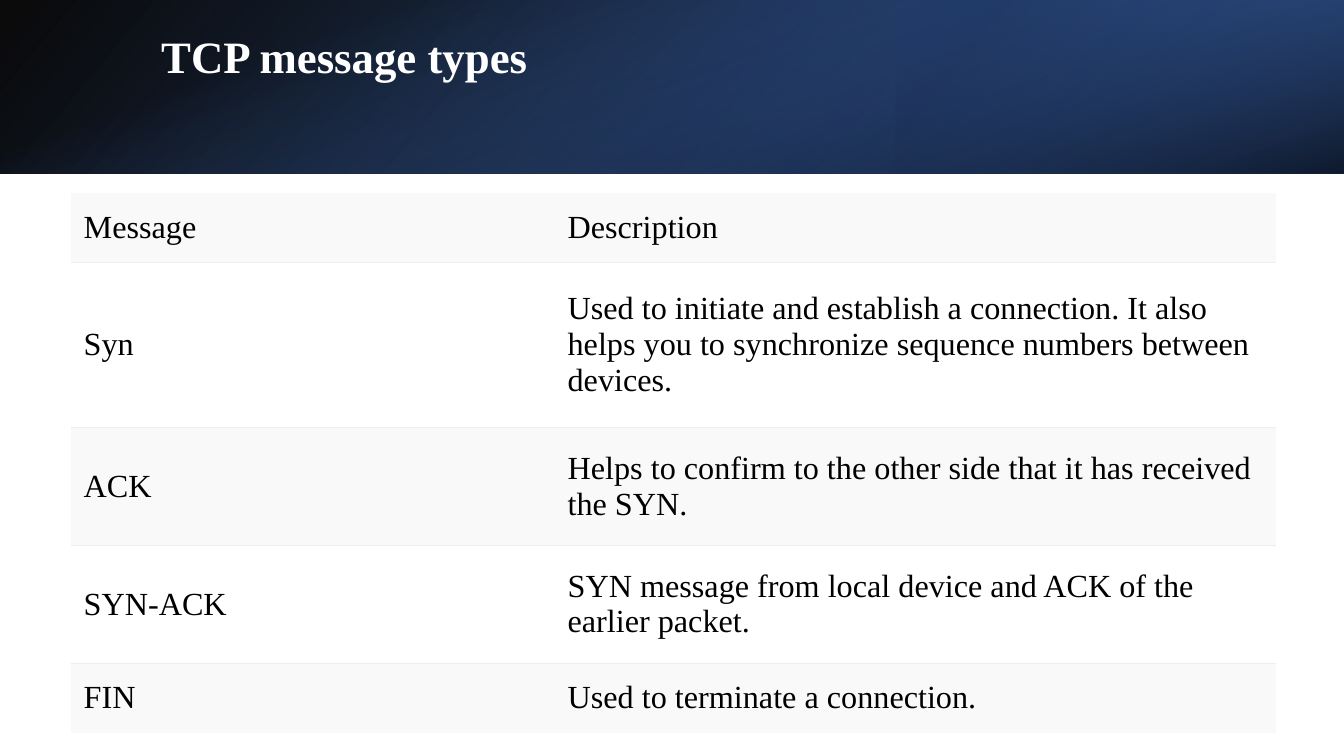
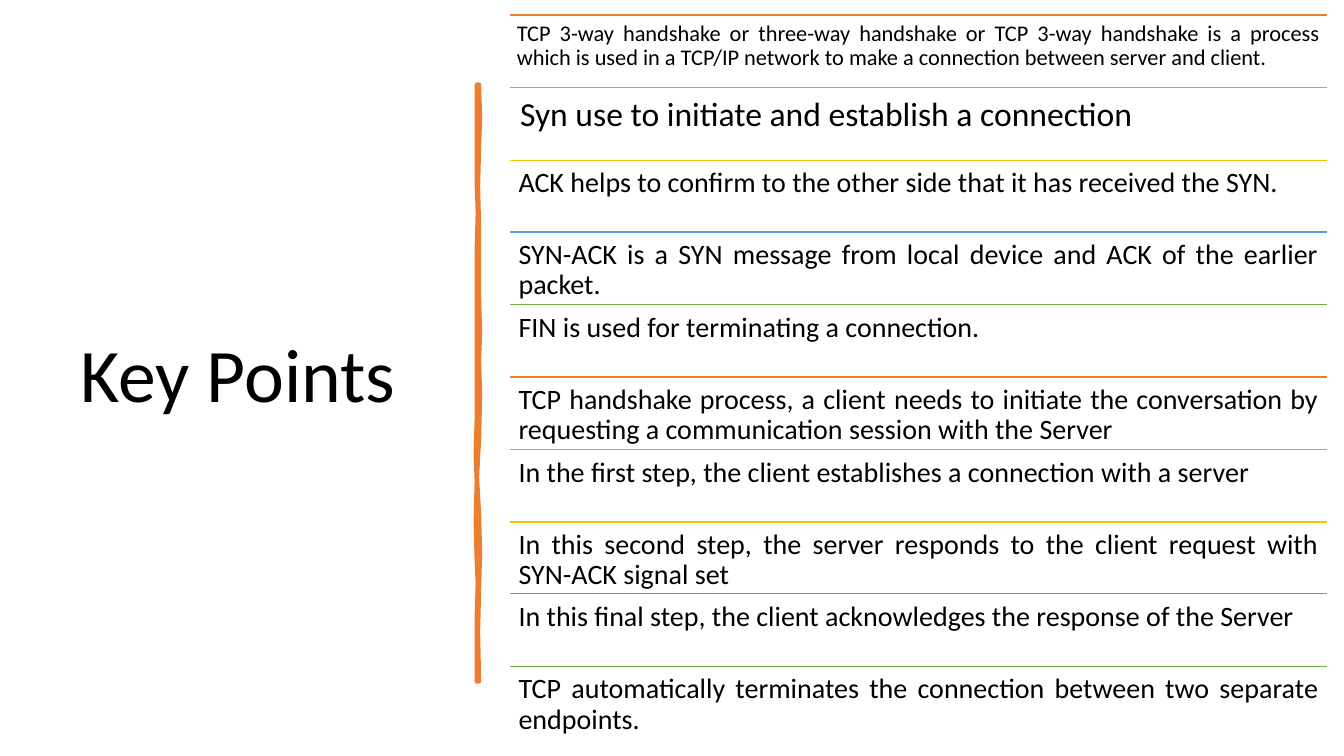
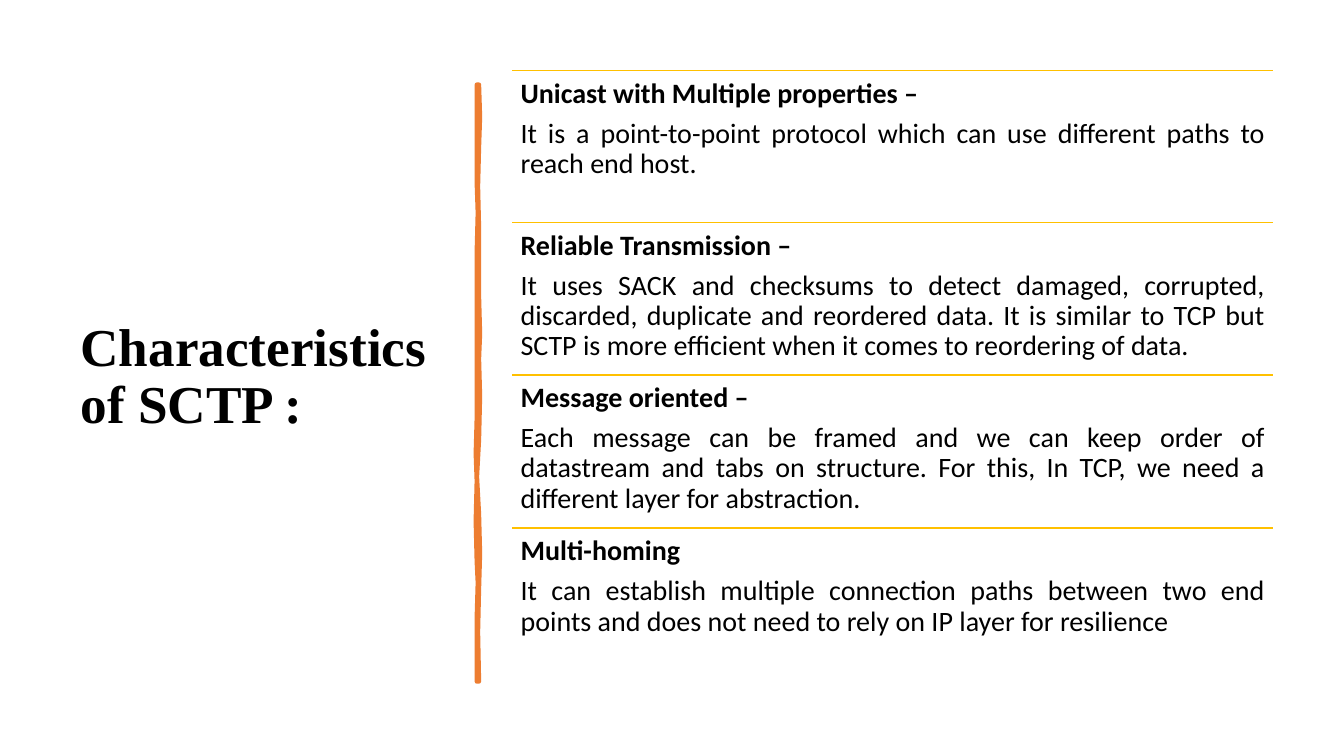
from itertools import cycle

from pptx import Presentation
from pptx.dml.color import RGBColor
from pptx.enum.shapes import MSO_CONNECTOR, MSO_SHAPE
from pptx.enum.text import MSO_ANCHOR, PP_ALIGN
from pptx.oxml.ns import qn
from pptx.oxml.xmlchemy import OxmlElement
from pptx.util import Inches, Pt

RECTANGLE = MSO_SHAPE.RECTANGLE
STRAIGHT = MSO_CONNECTOR.STRAIGHT
TOP, MIDDLE = MSO_ANCHOR.TOP, MSO_ANCHOR.MIDDLE
LEFT, JUSTIFY = PP_ALIGN.LEFT, PP_ALIGN.JUSTIFY

# Shared look
SLIDE_W, SLIDE_H = 13.33, 7.5
BAND_H = 1.72
SERIF, SANS = "Times New Roman", "Calibri"
BLACK = RGBColor(0x00, 0x00, 0x00)
WHITE = RGBColor(0xFF, 0xFF, 0xFF)
NAVY = RGBColor(0x20, 0x38, 0x64)
DEEP_BLUE = RGBColor(0x2F, 0x55, 0x97)
BLUE = RGBColor(0x44, 0x72, 0xC4)
ORANGE = RGBColor(0xED, 0x7D, 0x31)
GREY = RGBColor(0xA5, 0xA5, 0xA5)
GOLD = RGBColor(0xFF, 0xC0, 0x00)
SKY = RGBColor(0x5B, 0x9B, 0xD5)
GREEN = RGBColor(0x70, 0xAD, 0x47)
STRIPE = RGBColor(0xF9, 0xF9, 0xF9)
RULE = RGBColor(0xEE, 0xEE, 0xEE)

# Brush stroke outline: down the right edge, then up the left edge
STROKE_OUTLINE = [
    (4.75, 0.84), (4.76, 1.16), (4.75, 1.46), (4.74, 1.85), (4.75, 2.26),
    (4.75, 2.6), (4.75, 2.94), (4.76, 3.31), (4.75, 3.56), (4.76, 3.93),
    (4.75, 4.36), (4.73, 4.73), (4.75, 5.1), (4.76, 5.49), (4.75, 5.84),
    (4.74, 6.27), (4.75, 6.76),
    (4.73, 6.76), (4.73, 6.45), (4.73, 6.13), (4.74, 5.78), (4.73, 5.57),
    (4.72, 5.17), (4.73, 4.77), (4.72, 4.5), (4.73, 4.15), (4.73, 3.78),
    (4.73, 3.35), (4.73, 2.9), (4.73, 2.5), (4.74, 2.11), (4.73, 1.81),
    (4.73, 1.33), (4.73, 0.84),
]

# Content
MESSAGE_TYPES = [
    ("Message", "Description"),
    ("Syn", "Used to initiate and establish a connection. It also helps you to "
            "synchronize sequence numbers between devices."),
    ("ACK", "Helps to confirm to the other side that it has received the SYN."),
    ("SYN-ACK", "SYN message from local device and ACK of the earlier packet."),
    ("FIN", "Used to terminate a connection."),
]
KEY_POINTS = [
    ("TCP 3-way handshake or three-way handshake or TCP 3-way handshake is a process "
     "which is used in a TCP/IP network to make a connection between server and client.", 16),
    ("Syn use to initiate and establish a connection", 24),
    ("ACK helps to confirm to the other side that it has received the SYN.", 20),
    ("SYN-ACK is a SYN message from local device and ACK of the earlier packet.", 20),
    ("FIN is used for terminating a connection.", 20),
    ("TCP handshake process, a client needs to initiate the conversation by requesting "
     "a communication session with the Server", 20),
    ("In the first step, the client establishes a connection with a server", 20),
    ("In this second step, the server responds to the client request with "
     "SYN-ACK signal set", 20),
    ("In this final step, the client acknowledges the response of the Server", 20),
    ("TCP automatically terminates the connection between two separate endpoints.", 20),
]
CHARACTERISTICS = [
    ("Unicast with Multiple properties –",
     "It is a point-to-point protocol which can use different paths to reach end host."),
    ("Reliable Transmission –",
     "It uses SACK and checksums to detect damaged, corrupted, discarded, duplicate and "
     "reordered data. It is similar to TCP but SCTP is more efficient when it comes to "
     "reordering of data."),
    ("Message oriented –",
     "Each message can be framed and we can keep order of datastream and tabs on "
     "structure. For this, In TCP, we need a different layer for abstraction."),
    ("Multi-homing",
     "It can establish multiple connection paths between two end points and does not "
     "need to rely on IP layer for resilience"),
]


def inches(*lengths):
    return [Inches(length) for length in lengths]


def add_run(paragraph, text, size, font, color=BLACK, bold=False):
    run = paragraph.add_run()
    run.text = text
    run.font.size = Pt(size)
    run.font.name = font
    run.font.bold = bold
    run.font.color.rgb = color


def add_text(slide, box, lines, size, font, color=BLACK, anchor=TOP, align=LEFT,
             inset=0.1, space_after=0):
    """Write (text, bold) lines, one paragraph each."""
    frame = slide.shapes.add_textbox(*inches(*box)).text_frame
    frame.word_wrap = True
    frame.vertical_anchor = anchor
    frame.margin_left = frame.margin_right = Inches(inset)
    frame.margin_top = frame.margin_bottom = Inches(inset)
    for index, (text, bold) in enumerate(lines):
        paragraph = frame.paragraphs[0] if index == 0 else frame.add_paragraph()
        paragraph.alignment = align
        paragraph.line_spacing = 0.9
        paragraph.space_after = Pt(space_after)
        add_run(paragraph, text, size, font, color, bold)


def add_gradient(slide, box, stops, angle, rotation=0, flipped=False):
    """Stops are (position, colour, opacity), in percent; angle is clockwise."""
    panel = slide.shapes.add_shape(RECTANGLE, *inches(*box))
    panel.shadow.inherit = False
    panel.line.fill.background()
    panel.rotation = rotation
    if flipped:
        panel.element.spPr.find(qn("a:xfrm")).set("flipH", "1")
    panel.fill.gradient()
    panel.fill.gradient_angle = 360 - angle
    for stop, (position, color, _) in zip(panel.fill.gradient_stops, stops):
        stop.position = position / 100
        stop.color.rgb = color
    colors = panel.element.spPr.iter(qn("a:srgbClr"))
    for color_xml, (_, _, opacity) in zip(list(colors), stops):
        alpha = OxmlElement("a:alpha")
        alpha.set("val", str(opacity * 1000))
        color_xml.append(alpha)


def add_title_band(slide, title):
    add_gradient(slide, (0, 0, SLIDE_W, BAND_H),
                 [(0, BLACK, 96), (100, DEEP_BLUE, 100)], 140, flipped=True)
    add_gradient(slide, (SLIDE_W * 2 / 3, 0, SLIDE_W / 3, BAND_H),
                 [(19, NAVY, 68), (100, BLUE, 79)], 320, rotation=180, flipped=True)
    turn = (SLIDE_W - BAND_H) / 2
    add_gradient(slide, (turn, -turn, BAND_H, SLIDE_W),
                 [(23, BLUE, 0), (99, BLACK, 74)], 340, rotation=90)
    add_text(slide, (1.5, 0.25, 10.98, 0.96), [(title, True)], 32, SERIF, WHITE)


def add_cell_borders(cell, ruled_sides):
    properties = cell._tc.get_or_add_tcPr()
    for side in "LRTB":
        border = OxmlElement(f"a:ln{side}")
        if side in ruled_sides:
            border.set("w", str(Pt(0.6)))
            solid, color = OxmlElement("a:solidFill"), OxmlElement("a:srgbClr")
            color.set("val", str(RULE))
            solid.append(color)
            border.append(solid)
        else:
            border.append(OxmlElement("a:noFill"))
        properties.append(border)


def add_message_table(slide, rows, left, top, widths, heights):
    table = slide.shapes.add_table(
        len(rows), len(widths), *inches(left, top, sum(widths), sum(heights))).table
    table.first_row = table.horz_banding = False
    for column, width in zip(table.columns, widths):
        column.width = Inches(width)
    for r, (texts, height) in enumerate(zip(rows, heights)):
        table.rows[r].height = Inches(height)
        # Rules run between rows only
        ruled_sides = ("T" if r > 0 else "") + ("B" if r < len(rows) - 1 else "")
        for c, text in enumerate(texts):
            cell = table.cell(r, c)
            add_cell_borders(cell, ruled_sides)
            if r % 2 == 0:
                cell.fill.solid()
                cell.fill.fore_color.rgb = STRIPE
            else:
                cell.fill.background()
            cell.vertical_anchor = MIDDLE
            cell.margin_left = cell.margin_right = Inches(0.13)
            cell.margin_top = cell.margin_bottom = Inches(0.06)
            add_run(cell.text_frame.paragraphs[0], text, 23, SERIF)


def add_side_title(slide, title, size, font, bold=False):
    add_text(slide, (0.7, 0.69, 3.74, 6.11), [(title, bold)], size, font, anchor=MIDDLE)
    start, *others = [inches(*point) for point in STROKE_OUTLINE]
    builder = slide.shapes.build_freeform(*start)
    builder.add_line_segments(others, close=True)
    stroke = builder.convert_to_shape()
    stroke.shadow.inherit = False
    stroke.fill.solid()
    stroke.fill.fore_color.rgb = ORANGE
    stroke.line.color.rgb = ORANGE
    stroke.line.width = Pt(3.25)
    stroke.line._get_or_add_ln().append(OxmlElement("a:round"))


def add_rule(slide, left, top, width, color):
    rule = slide.shapes.add_connector(STRAIGHT, *inches(left, top, left + width, top))
    rule.line.color.rgb = color
    rule.line.width = Pt(1)
    rule._element.spPr.append(OxmlElement("a:effectLst"))


def add_ruled_list(slide, area, items, colors):
    """Stack (lines, size) items in equal rows, each under a coloured rule."""
    left, top, width, height = area
    pitch = height / len(items)
    for row, ((lines, size), color) in enumerate(zip(items, cycle(colors))):
        y = round(top + row * pitch, 2)
        add_rule(slide, left, y, width, color)
        add_text(slide, (left, y, width, pitch), lines, size, SANS, align=JUSTIFY,
                 inset=size / 240, space_after=0.35 * size)


def main():
    deck = Presentation()
    deck.slide_width, deck.slide_height = inches(SLIDE_W, SLIDE_H)
    blank = deck.slide_layouts[6]

    # Message types
    slide = deck.slides.add_slide(blank)
    add_title_band(slide, "TCP message types")
    add_message_table(slide, MESSAGE_TYPES, 0.7, 1.91,
                      [4.8, 7.16], [0.69, 1.64, 1.17, 1.17, 0.69])

    # Key points
    slide = deck.slides.add_slide(blank)
    add_side_title(slide, "Key Points", 54, SANS)
    add_ruled_list(slide, (5.06, 0.15, 8.1, 7.18),
                   [([(text, False)], size) for text, size in KEY_POINTS],
                   [ORANGE, GREY, GOLD, SKY, GREEN])

    # Characteristics
    slide = deck.slides.add_slide(blank)
    add_side_title(slide, "Characteristics of SCTP :", 38, SERIF, bold=True)
    add_ruled_list(slide, (5.08, 0.7, 7.55, 6.05),
                   [([(name, True), (detail, False)], 20) for name, detail in CHARACTERISTICS],
                   [GOLD])

    deck.save("out.pptx")


if __name__ == "__main__":
    main()
